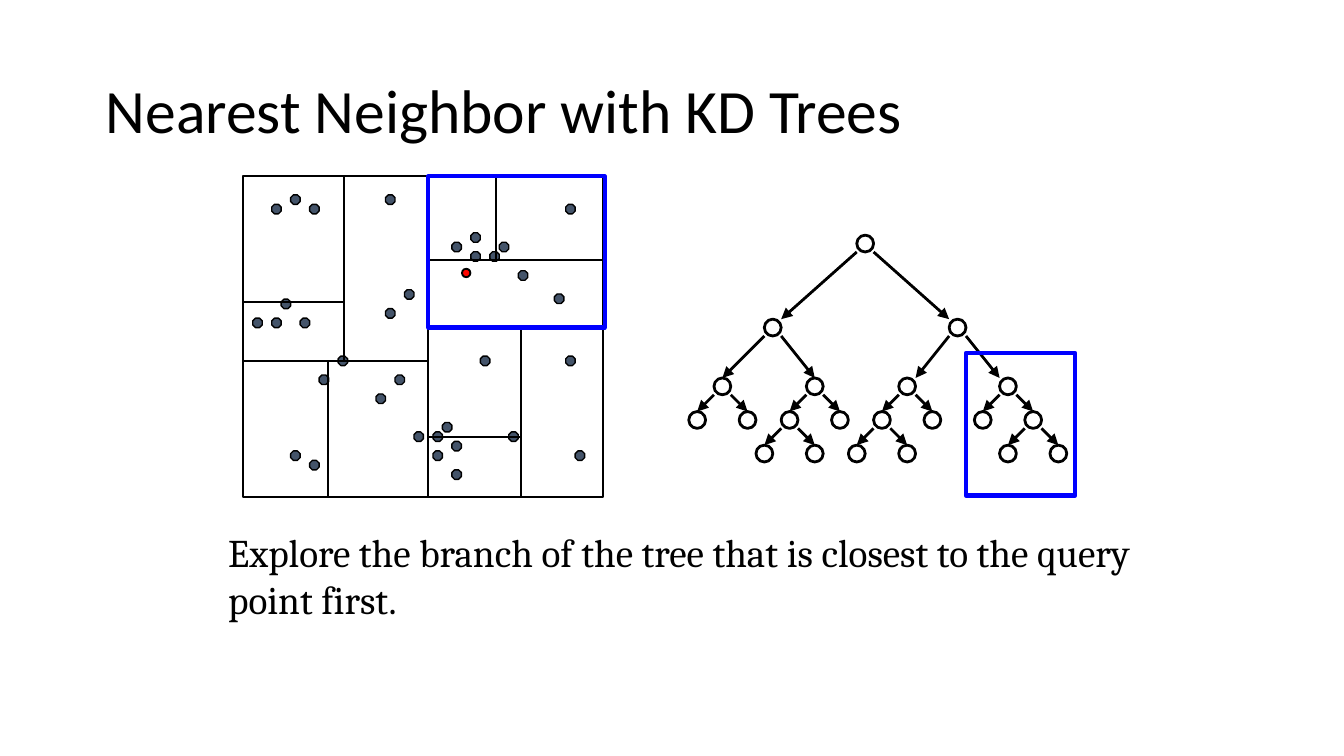
"""Build a slide on nearest neighbor search with a KD tree."""
from dataclasses import dataclass
from typing import Optional

from lxml import etree
from pptx import Presentation
from pptx.dml.color import RGBColor
from pptx.enum.shapes import MSO_CONNECTOR, MSO_SHAPE
from pptx.enum.text import MSO_ANCHOR, MSO_AUTO_SIZE, PP_ALIGN
from pptx.oxml.ns import qn
from pptx.util import Pt

LINE = MSO_CONNECTOR.STRAIGHT
RECT = MSO_SHAPE.RECTANGLE
OVAL = MSO_SHAPE.OVAL
OCTAGON = MSO_SHAPE.OCTAGON
MIDDLE = MSO_ANCHOR.MIDDLE
LEFT = PP_ALIGN.LEFT
NO_FIT = MSO_AUTO_SIZE.NONE
GROW = MSO_AUTO_SIZE.SHAPE_TO_FIT_TEXT


@dataclass(frozen=True)
class Theme:
    ink: str = "000000"
    dot: str = "44546A"
    query: str = "FF0600"
    focus: str = "0000FF"
    head: str = "Calibri"
    body: str = "Cambria"
    head_size: float = 33
    body_size: float = 21
    fine: float = 0.75
    thin: float = 1
    bold: float = 1.5
    thick: float = 2.25


@dataclass(frozen=True)
class Box:
    x: float
    y: float
    w: float
    h: float


@dataclass(frozen=True)
class Node:
    x: int
    y: int
    kids: tuple = ()
    inner: bool = False


THEME = Theme()
UNIT = 4.5
STEP = 5.08
PLANE = Box(130.32, 94.32, 192.96, 172.08)
DOT_TOP = 104.4

DOTS = {
    0: (5, 15), 1: (3, 7, 34), 4: (24,), 5: (22, 27), 6: (24, 26),
    8: (29,), 10: (17,), 11: (4,), 12: (15,), 13: (1, 3, 6),
    17: (10, 25, 34), 19: (8, 16), 21: (14,), 24: (21,),
    25: (18, 20, 28), 26: (22,), 27: (5, 20, 35), 28: (7,), 29: (22,),
}
CUTS = [
    (51, 21, 51, 59), (51, 39, 72, 39), (62, 39, 62, 59),
    (51, 52, 62, 52), (29, 43, 51, 43), (41, 43, 41, 21),
    (51, 31, 72, 31), (59, 21, 59, 31), (39, 43, 39, 59),
    (29, 36, 41, 36),
]


def grid(x: float, y: float, w: float, h: float) -> Box:
    """Turn grid units into a box in points."""
    return Box(x * UNIT, y * UNIT, w * UNIT, h * UNIT)


def draw(shapes, kind, box: Box, color: str, width: float,
         fill: Optional[str] = None):
    """Draw an outlined shape, filled if a colour is given."""
    shape = shapes.add_shape(kind, Pt(box.x), Pt(box.y), Pt(box.w), Pt(box.h))
    shape.shadow.inherit = False
    shape.line.color.rgb = RGBColor.from_string(color)
    shape.line.width = Pt(width)
    if fill:
        shape.fill.solid()
        shape.fill.fore_color.rgb = RGBColor.from_string(fill)
    else:
        shape.fill.background()
    return shape


def draw_dot(shapes, x: float, y: float) -> None:
    """Draw one data point."""
    dot = draw(shapes, OCTAGON, Box(x, y, STEP, STEP), THEME.ink,
               THEME.fine, THEME.dot)
    dot.adjustments[0] = 0.29


def draw_line(shapes, ends: tuple, width: float, arrow: bool = False) -> None:
    """Draw a line between two grid places."""
    line = shapes.add_connector(LINE, *(Pt(end * UNIT) for end in ends))
    line.line.color.rgb = RGBColor.from_string(THEME.ink)
    line.line.width = Pt(width)
    props = line._element.spPr
    if arrow:
        etree.SubElement(props.find(qn("a:ln")), qn("a:tailEnd"), type="triangle")
    etree.SubElement(props, qn("a:effectLst"))


def draw_tree(shapes, node: Node) -> None:
    """Draw a node, its arrows and all nodes below it."""
    draw(shapes, OVAL, grid(node.x, node.y, 2, 2), THEME.ink, THEME.bold)
    for side, kid in enumerate(node.kids):
        aim = 2 - 2 * side if node.inner else 1
        ends = (node.x + 2 * side, node.y + 2, kid.x + aim, kid.y)
        draw_line(shapes, ends, THEME.bold, arrow=True)
        draw_tree(shapes, kid)


def pair(x: int, y: int) -> tuple:
    """Make two leaves that share a parent."""
    return Node(x, y), Node(x + 6, y)


def make_tree() -> Node:
    """Make the whole KD tree."""
    west = Node(91, 38, (
        Node(85, 45, pair(82, 49)),
        Node(96, 45, (Node(93, 49, pair(90, 53)), Node(99, 49))),
    ))
    east = Node(113, 38, (
        Node(107, 45, (Node(104, 49, pair(101, 53)), Node(110, 49))),
        Node(119, 45, (Node(116, 49), Node(122, 49, pair(119, 53)))),
    ), inner=True)
    return Node(102, 28, (west, east), inner=True)


def write(shape, box: Box, text: str, font: str, size: float):
    """Place a text shape and set its one paragraph."""
    shape.left, shape.top = Pt(box.x), Pt(box.y)
    shape.width, shape.height = Pt(box.w), Pt(box.h)
    frame = shape.text_frame
    frame.word_wrap = True
    frame.text = text
    para = frame.paragraphs[0]
    para.alignment = LEFT
    para.font.name = font
    para.font.size = Pt(size)
    para.font.color.rgb = RGBColor.from_string(THEME.ink)
    return frame


def main() -> None:
    """Build and save the slide."""
    deck = Presentation()
    deck.slide_width, deck.slide_height = Pt(720), Pt(405)
    slide = deck.slides.add_slide(deck.slide_layouts[5])
    shapes = slide.shapes

    title = write(shapes.title, Box(49.5, 21.6, 621, 78.3),
                  "Nearest Neighbor with KD Trees", THEME.head, THEME.head_size)
    title.vertical_anchor = MIDDLE
    title.auto_size = NO_FIT
    title.paragraphs[0].line_spacing = 0.9

    plane = shapes.add_group_shape().shapes
    for row, cols in DOTS.items():
        for col in cols:
            draw_dot(plane, PLANE.x + col * STEP, DOT_TOP + row * STEP)
    draw(plane, RECT, PLANE, THEME.ink, THEME.thin)
    for cut in CUTS:
        draw_line(shapes, cut, THEME.thin)

    draw_tree(shapes, make_tree())

    area = Box(115.2, 279.36, 501.12, 58.32)
    note = shapes.add_textbox(Pt(area.x), Pt(area.y), Pt(area.w), Pt(area.h))
    frame = write(
        note, area,
        "Explore the branch of the tree that is closest to the query point first.",
        THEME.body, THEME.body_size)
    frame.auto_size = GROW

    draw(shapes, OVAL, grid(55, 32, 1, 1), THEME.ink, THEME.thin, THEME.query)
    for area in (grid(51, 21, 21, 18), grid(115, 42, 13, 17)):
        draw(shapes, RECT, area, THEME.focus, THEME.thick)
    draw_dot(shapes, 66 * UNIT, 35 * UNIT)

    deck.save("out.pptx")


if __name__ == "__main__":
    main()
